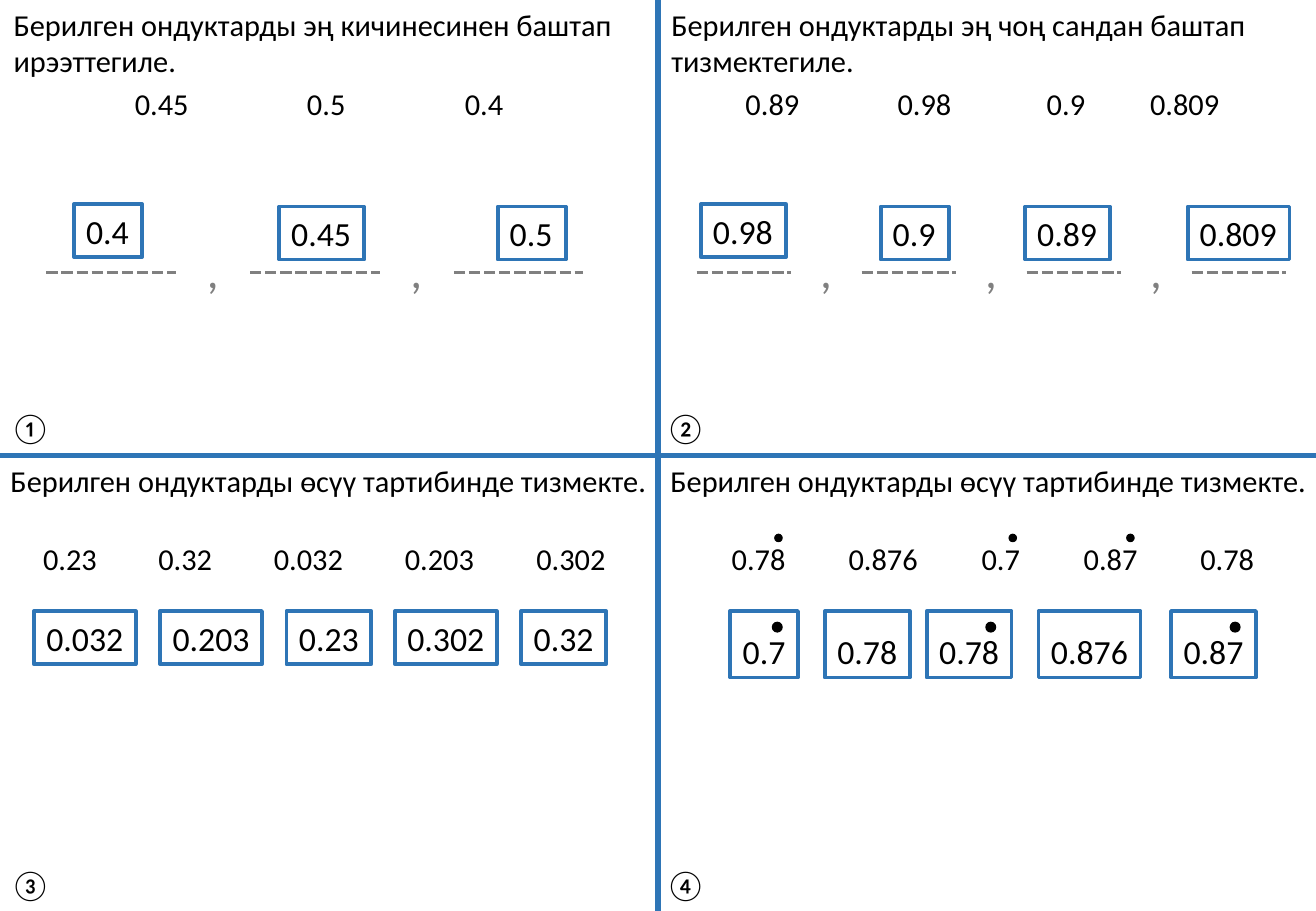
"""Build a four-panel worksheet on ordering decimals."""
from dataclasses import dataclass

from lxml.etree import SubElement
from pptx import Presentation
from pptx.dml.color import RGBColor as Color
from pptx.enum.dml import MSO_LINE_DASH_STYLE as Dash
from pptx.enum.shapes import MSO_CONNECTOR as Connector, MSO_SHAPE as Shape
from pptx.enum.text import MSO_ANCHOR as Anchor, MSO_AUTO_SIZE as AutoSize, PP_ALIGN as Align
from pptx.oxml.ns import qn
from pptx.util import Cm, Pt


@dataclass(frozen=True)
class Theme:
    font: str = "Calibri"
    ink: Color = Color(0, 0, 0)
    paper: Color = Color(255, 255, 255)
    accent: Color = Color(0x2E, 0x75, 0xB6)
    muted: Color = Color(0x80, 0x80, 0x80)
    body_size: float = 18
    answer_size: float = 20
    comma_size: float = 28
    divider_width: float = 3.5
    border_width: float = 2.25


class Worksheet:
    def __init__(self, slide, theme):
        self.slide = slide
        self.theme = theme

    def set_text(self, shape, text, size, color=None, align=Align.LEFT, **frame_format):
        frame = shape.text_frame
        frame.text = text
        frame_values = {"word_wrap": False, "auto_size": AutoSize.SHAPE_TO_FIT_TEXT,
                        "vertical_anchor": Anchor.TOP, **frame_format}
        for name, value in frame_values.items():
            setattr(frame, name, value)
        for paragraph in frame.paragraphs:
            paragraph.alignment = align
            for name, value in {"name": self.theme.font, "size": Pt(size)}.items():
                setattr(paragraph.font, name, value)
            paragraph.font.color.rgb = color or self.theme.ink

    def text(self, text, left, top, width, height=1.03, size=None, color=None, align=Align.LEFT):
        box = self.slide.shapes.add_textbox(Cm(left), Cm(top), Cm(width), Cm(height))
        self.set_text(box, text, size or self.theme.body_size, color, align)

    def title(self, text, left, top, width, height):
        title = self.slide.shapes.title
        place = {"left": left, "top": top, "width": width, "height": height}
        for name, value in place.items():
            setattr(title, name, Cm(value))
        self.set_text(title, text, self.theme.body_size)

    def shape(self, kind, left, top, width, height, fill):
        shape = self.slide.shapes.add_shape(kind, Cm(left), Cm(top), Cm(width), Cm(height))
        shape.shadow.inherit = False
        shape.fill.solid()
        shape.fill.fore_color.rgb = fill
        shape.line.fill.background()
        return shape

    def dot(self, left, top, size):
        self.shape(Shape.OVAL, left, top, size, size, self.theme.ink)

    def line(self, start, end, color, width, dash=None):
        line = self.slide.shapes.add_connector(
            Connector.STRAIGHT, *(Cm(value) for value in (*start, *end)))
        line.line.color.rgb = color
        line.line.width = Pt(width)
        if dash:
            line.line.dash_style = dash
        SubElement(line._element.spPr, qn("a:effectLst"))

    def number(self, text, left, top, align, dotted=False):
        width = 0.33 * (len(text) + 1)
        self.text(text, left, top, width, align=align)
        if dotted:
            self.dot(left + width - 0.5, top - 0.02, 0.18)

    def answer(self, text, left, top, align, dotted=False, headroom=0.13):
        width = 0.355 * (len(text) + 1)
        box = self.shape(Shape.RECTANGLE, left, top, width, 0.98 + headroom, self.theme.paper)
        box.line.color.rgb = self.theme.accent
        box.line.width = Pt(self.theme.border_width)
        self.set_text(box, text, self.theme.answer_size, align=align, margin_top=Cm(headroom))
        if dotted:
            self.dot(left + width - 0.55, top + 0.22, 0.23)

    def slots(self, left, width, gap, count):
        comma_width = 0.76
        for index in range(count):
            start = left + index * (width + gap)
            self.line((start, 5.7), (start + width, 5.7), self.theme.muted,
                      self.theme.border_width, Dash.SQUARE_DOT)
            if index < count - 1:
                self.text(",", start + width + (gap - comma_width) / 2, 4.93, comma_width,
                          1.45, self.theme.comma_size, self.theme.muted)


WIDTH, HEIGHT = 27.52, 19.05
ASCENDING = "Берилген ондуктарды өсүү тартибинде тизмекте."
PANELS = [
    {
        "heading": ("Берилген ондуктарды эң кичинесинен баштап\nирээттегиле.", 0.03, 0, 13.31, 1.8),
        "label": ("①", -0.03, 8.43),
        "number_top": 1.65, "number_align": Align.LEFT, "answer_align": Align.JUSTIFY,
        "numbers": [("0.45", 2.57), ("0.5", 6.17), ("0.4", 9.47)],
        "slots": (0.97, 2.71, 1.55, 3),
        "answers": [("0.4", 1.55, 4.27), ("0.45", 5.84, 4.32), ("0.5", 10.41, 4.32)],
    },
    {
        "heading": ("Берилген ондуктарды эң чоң сандан баштап\nтизмектегиле.", 13.79, 0, 12.65, 1.8),
        "label": ("②", 13.67, 8.43),
        "number_top": 1.65, "number_align": Align.LEFT, "answer_align": Align.JUSTIFY,
        "numbers": [("0.89", 15.34), ("0.98", 18.52), ("0.9", 21.64), ("0.809", 23.8)],
        "slots": (14.57, 1.97, 1.48, 4),
        "answers": [("0.98", 14.66, 4.27), ("0.9", 18.42, 4.32), ("0.89", 21.44, 4.32),
                    ("0.809", 24.84, 4.32)],
    },
    {
        "heading": (ASCENDING, -0.03, 9.55, 13.97, 1.03),
        "label": ("③", -0.03, 17.98),
        "number_top": 11.18, "number_align": Align.CENTER, "answer_align": Align.CENTER,
        "numbers": [("0.23", 0.64), ("0.32", 3.05), ("0.032", 5.46), ("0.203", 8.2),
                    ("0.302", 10.95)],
        "answers": [("0.032", 0.71, 12.78), ("0.203", 3.35, 12.78), ("0.23", 5.99, 12.78),
                    ("0.302", 8.26, 12.78), ("0.32", 10.9, 12.78)],
    },
    {
        "heading": (ASCENDING, 13.77, 9.55, 13.97, 1.03),
        "label": ("④", 13.67, 17.98),
        "number_top": 11.18, "number_align": Align.CENTER, "answer_align": Align.CENTER,
        "numbers": [("0.78", 15.04, True), ("0.876", 17.48), ("0.7", 20.27, True),
                    ("0.87", 22.4, True), ("0.78", 24.84)],
        "headroom": 0.41,
        "answers": [("0.7", 15.27, 12.78, True), ("0.78", 17.25, 12.78),
                    ("0.78", 19.38, 12.78, True), ("0.876", 21.72, 12.78),
                    ("0.87", 24.49, 12.78, True)],
    },
]


def main():
    presentation = Presentation()
    presentation.slide_width, presentation.slide_height = Cm(WIDTH), Cm(HEIGHT)
    theme = Theme()
    sheet = Worksheet(presentation.slides.add_slide(presentation.slide_layouts[5]), theme)
    for start, end in [((WIDTH / 2, 0), (WIDTH / 2, HEIGHT)),
                       ((0, HEIGHT / 2), (WIDTH, HEIGHT / 2))]:
        sheet.line(start, end, theme.accent, theme.divider_width)
    for index, panel in enumerate(PANELS):
        add_heading = sheet.text if index else sheet.title
        add_heading(*panel["heading"])
        sheet.text(*panel["label"], 1.37)
        for text, left, *dotted in panel["numbers"]:
            sheet.number(text, left, panel["number_top"], panel["number_align"], *dotted)
        if "slots" in panel:
            sheet.slots(*panel["slots"])
        for text, left, top, *dotted in panel["answers"]:
            sheet.answer(text, left, top, panel["answer_align"], *dotted,
                         headroom=panel.get("headroom", 0.13))
    presentation.save("out.pptx")


if __name__ == "__main__":
    main()
